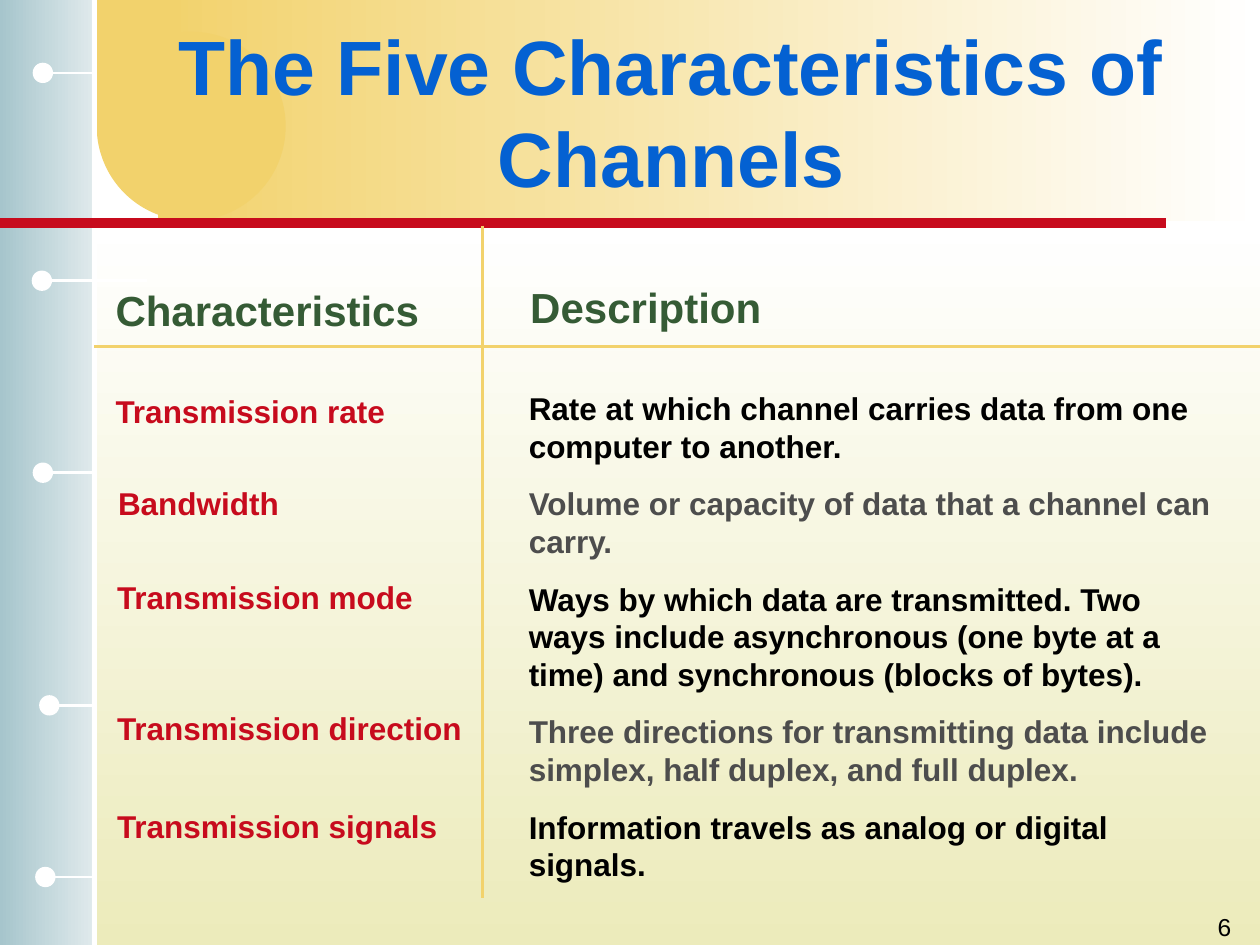
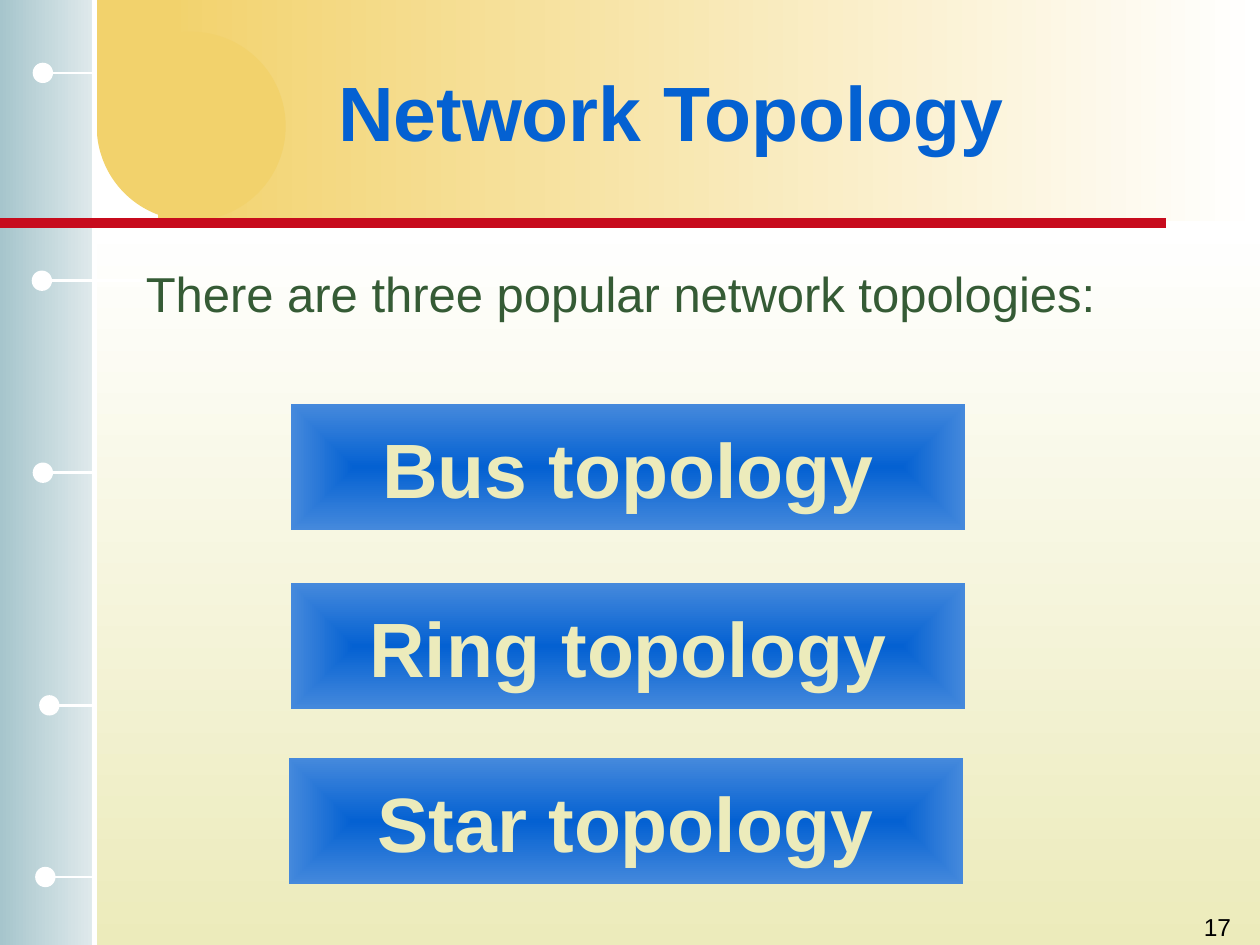
from lxml.etree import SubElement
from pptx import Presentation
from pptx.dml.color import RGBColor
from pptx.enum.shapes import MSO_CONNECTOR, MSO_SHAPE
from pptx.enum.text import MSO_ANCHOR, MSO_AUTO_SIZE, PP_ALIGN
from pptx.oxml.ns import qn
from pptx.util import Cm, Pt

WIDTH, HEIGHT = 25.4, 19.05
COLORS = {
    "white": "FFFFFF", "black": "000000", "grey": "4D4D4D",
    "blue": "0461D2", "light_blue": "4589DC", "red": "C70B1D",
    "green": "355B35", "gold": "F2D26C", "cream": "ECEBBB",
    "teal": "A6C5CC", "pale_teal": "E0EAEC",
}
# Binder rings: dot left, ring height, line start, line end
RINGS = [
    (0.66, 1.47, 1.9, 1.07), (0.64, 5.66, 2.97, 0.84),
    (0.66, 9.53, 1.85, 1.02), (0.79, 14.22, 1.9, 1.07),
    (0.71, 17.68, 1.85, 1.02),
]
DOT = 0.41


class Deck:
    """Holds the style and the slide being built."""

    font = "Arial"

    def __init__(self):
        self.prs = Presentation()
        self.prs.slide_width, self.prs.slide_height = Cm(WIDTH), Cm(HEIGHT)
        self.s = None

    def color(self, name):
        return RGBColor.from_string(COLORS[name])

    def shape(self, kind, x, y, w, h, fill):
        sp = self.s.shapes.add_shape(kind, Cm(x), Cm(y), Cm(w), Cm(h))
        sp.shadow.inherit = False
        sp.line.fill.background()
        if fill:
            sp.fill.solid()
            sp.fill.fore_color.rgb = self.color(fill)
        return sp

    def gradient(self, x, y, w, h, start, end, angle=180):
        sp = self.shape(MSO_SHAPE.RECTANGLE, x, y, w, h, None)
        sp.fill.gradient()
        sp.fill.gradient_angle = angle
        for stop, name in zip(sp.fill.gradient_stops, (start, end)):
            stop.color.rgb = self.color(name)
        return sp

    def line(self, x1, y1, x2, y2, color, width=1.5):
        cn = self.s.shapes.add_connector(
            MSO_CONNECTOR.STRAIGHT, Cm(x1), Cm(y1), Cm(x2), Cm(y2))
        cn.line.color.rgb = self.color(color)
        cn.line.width = Pt(width)
        SubElement(cn._element.spPr, qn("a:effectLst"))

    def paragraphs(self, tf, items, size, bold=False, align=PP_ALIGN.LEFT,
                   gap=0):
        """Fill a text frame with (text, colour) paragraphs."""
        for i, (text, color) in enumerate(items):
            p = tf.paragraphs[0] if i == 0 else tf.add_paragraph()
            p.text, p.alignment = text, align
            if i:
                p.space_before = Pt(gap)
            p.font.name, p.font.size, p.font.bold = self.font, Pt(size), bold
            p.font.color.rgb = self.color(color)

    def text(self, x, y, w, h, items, size, wrap=True, grow=False,
             anchor=MSO_ANCHOR.TOP, **style):
        tf = self.s.shapes.add_textbox(Cm(x), Cm(y), Cm(w), Cm(h)).text_frame
        tf.word_wrap = wrap
        tf.auto_size = (MSO_AUTO_SIZE.SHAPE_TO_FIT_TEXT if grow
                        else MSO_AUTO_SIZE.NONE)
        tf.vertical_anchor = anchor
        self.paragraphs(tf, items, size, **style)

    def label(self, x, y, w, h, text, size, color):
        self.text(x, y, w, h, [(text, color)], size, wrap=False, grow=True,
                  bold=True)

    def button(self, x, y, w, h, text):
        sp = self.gradient(x, y, w, h, "blue", "light_blue")
        # Shade from the centre outwards
        grad = sp._element.spPr.find(qn("a:gradFill"))
        grad.remove(grad.find(qn("a:lin")))
        shade = SubElement(grad, qn("a:path"), {"path": "rect"})
        SubElement(shade, qn("a:fillToRect"),
                   {side: "50000" for side in "ltrb"})
        tf = sp.text_frame
        tf.word_wrap = False
        tf.vertical_anchor = MSO_ANCHOR.MIDDLE
        self.paragraphs(tf, [(text, "cream")], 44, bold=True,
                        align=PP_ALIGN.CENTER)

    def background(self):
        self.gradient(1.85, 4.5, WIDTH - 1.85, HEIGHT - 4.5,
                      "white", "cream", 270)
        self.gradient(0, 0, 1.9, HEIGHT, "pale_teal", "teal")
        self.gradient(3.18, 0, WIDTH - 3.18, 4.45, "white", "gold")
        self.shape(MSO_SHAPE.OVAL, 1.95, 0.64, 3.81, 3.81, "gold")
        self.shape(MSO_SHAPE.RECTANGLE, 1.95, 0, 1.7, 2.44, "gold")
        self.line(1.9, 0, 1.9, HEIGHT, "white", 3)
        for dot_x, y, start, end in RINGS:
            self.line(start, y, end, y, "white")
            self.shape(MSO_SHAPE.OVAL, dot_x, y - DOT / 2, DOT, DOT, "white")
        self.line(0, 4.5, 23.5, 4.5, "red", 6)

    def slide(self, title, number):
        self.s = self.prs.slides.add_slide(self.prs.slide_layouts[6])
        self.background()
        self.text(2.74, 0.64, 21.59, 3.18, [(title, "blue")], 44, bold=True,
                  anchor=MSO_ANCHOR.MIDDLE, align=PP_ALIGN.CENTER)
        self.text(19.79, 18.26, 5.28, 1.27, [(str(number), "black")], 14,
                  align=PP_ALIGN.RIGHT)


def characteristics(deck):
    deck.slide("The Five Characteristics of Channels", 6)
    # Column rules and headings
    deck.line(1.9, 6.99, WIDTH, 6.99, "gold")
    deck.line(9.73, 4.55, 9.73, 18.11, "gold")
    deck.label(2.08, 5.61, 6.63, 1.27, "Characteristics", 24, "green")
    deck.label(10.44, 5.56, 5.16, 1.27, "Description", 24, "green")
    # Names
    for x, y, w, name in [
        (2.08, 7.77, 5.97, "Transmission rate"),
        (2.13, 9.63, 3.76, "Bandwidth"),
        (2.11, 11.53, 6.5, "Transmission mode"),
        (2.11, 14.17, 7.49, "Transmission direction"),
        (2.11, 16.15, 6.99, "Transmission signals"),
    ]:
        deck.label(x, y, w, 1.02, name, 18, "red")
    # Descriptions in alternating colours
    descriptions = [
        "Rate at which channel carries data from one computer to another.",
        "Volume or capacity of data that a channel can carry.",
        "Ways by which data are transmitted. Two ways include asynchronous "
        "(one byte at a time) and synchronous (blocks of bytes).",
        "Three directions for transmitting data include simplex, half duplex, "
        "and full duplex.",
        "Information travels as analog or digital signals.",
    ]
    items = [(text, ("black", "grey")[i % 2])
             for i, text in enumerate(descriptions)]
    deck.text(10.41, 7.72, 14.35, 10.24, items, 18, grow=True, bold=True,
              gap=11.2)


def topologies(deck):
    deck.slide("Network Topology", 17)
    deck.text(2.69, 5.18, 21.59, 1.57,
              [("There are three popular network topologies:", "green")], 28)
    for x, y, name in [(5.87, 8.15, "Bus"), (5.87, 11.76, "Ring"),
                       (5.82, 15.29, "Star")]:
        deck.button(x, y, 13.59, 2.54, f"{name} topology")


def main():
    deck = Deck()
    characteristics(deck)
    topologies(deck)
    deck.prs.save("out.pptx")


if __name__ == "__main__":
    main()
